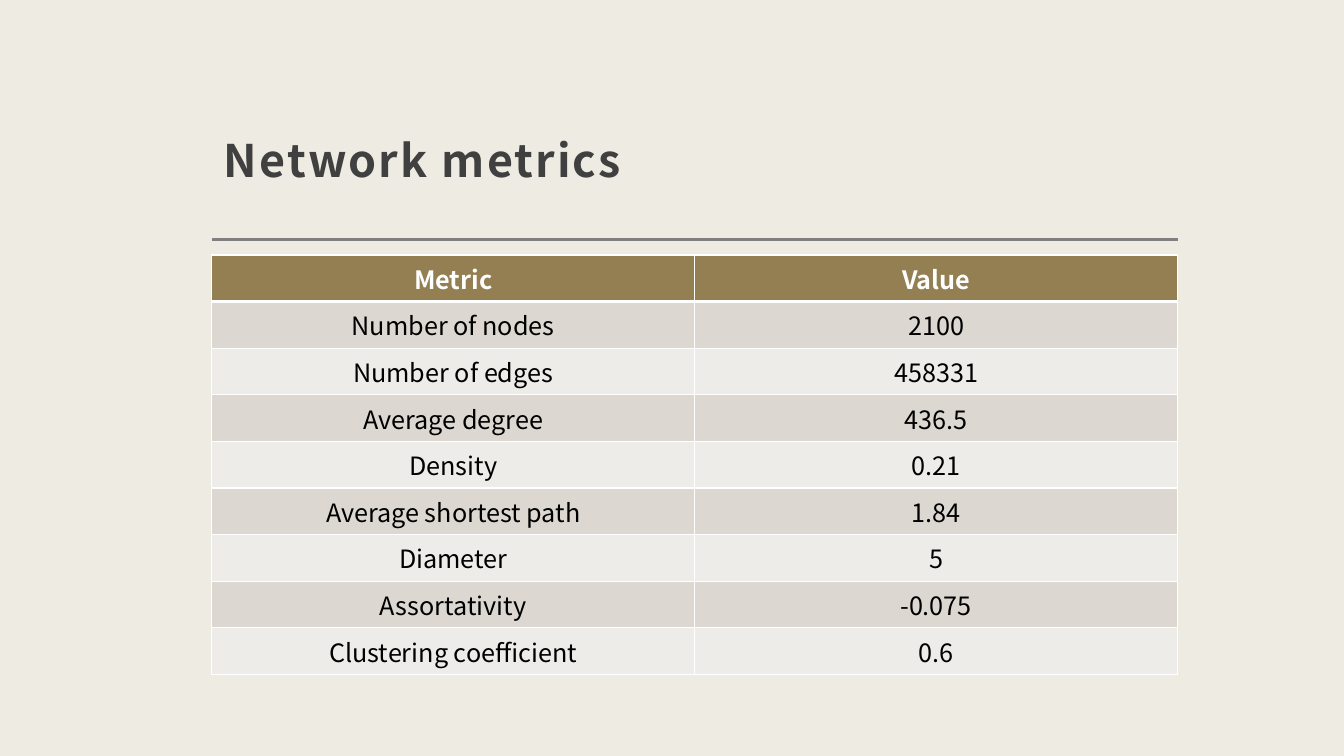
import pptx
import pptx.dml.color
import pptx.enum.shapes
import pptx.enum.text
import pptx.oxml.ns
import pptx.util
from lxml import etree

RGBColor = pptx.dml.color.RGBColor
Inches = pptx.util.Inches
Pt = pptx.util.Pt
qn = pptx.oxml.ns.qn

FONT = "Noto Sans CJK JP"
BACKGROUND = RGBColor(0xEE, 0xEB, 0xE2)
TITLE = RGBColor(0x40, 0x40, 0x40)
RULE = RGBColor(0x80, 0x80, 0x80)
HEADER = RGBColor(0x94, 0x7F, 0x53)
BAND_DARK = RGBColor(0xDC, 0xD8, 0xD1)
BAND_LIGHT = RGBColor(0xEE, 0xEC, 0xE9)
WHITE = RGBColor(0xFF, 0xFF, 0xFF)
BLACK = RGBColor(0x00, 0x00, 0x00)

LEFT, WIDTH = 2.1, 9.58
TABLE_HEIGHT = 4.16
METRICS = [
    ("Metric", "Value"),
    ("Number of nodes", "2100"),
    ("Number of edges", "458331"),
    ("Average degree", "436.5"),
    ("Density", "0.21"),
    ("Average shortest path", "1.84"),
    ("Diameter", "5"),
    ("Assortativity", "-0.075"),
    ("Clustering coefficient", "0.6"),
]


def add_border(cell, side, width):
    ln = etree.SubElement(cell._tc.get_or_add_tcPr(), qn(f"a:ln{side}"), w=str(Pt(width)))
    fill = etree.SubElement(ln, qn("a:solidFill"))
    etree.SubElement(fill, qn("a:srgbClr"), val=str(WHITE))


prs = pptx.Presentation()
prs.slide_width, prs.slide_height = Inches(13.33), Inches(7.5)
s = prs.slides.add_slide(prs.slide_layouts[6])
s.background.fill.solid()
s.background.fill.fore_color.rgb = BACKGROUND

# Rule under the title
rule = s.shapes.add_connector(pptx.enum.shapes.MSO_CONNECTOR.STRAIGHT,
                              Inches(LEFT), Inches(2.38), Inches(LEFT + WIDTH), Inches(2.38))
rule.line.color.rgb = RULE
rule.line.width = Pt(2)
etree.SubElement(rule._element.spPr, qn("a:effectLst"))

# Title
sp = s.shapes.add_textbox(Inches(LEFT), Inches(0.48), Inches(WIDTH), Inches(1.47))
tf = sp.text_frame
tf.word_wrap = True
tf.vertical_anchor = pptx.enum.text.MSO_ANCHOR.BOTTOM
tf.margin_left = tf.margin_right = tf.margin_top = Inches(0.12)
tf.margin_bottom = Inches(0.1)
p = tf.paragraphs[0]
p.line_spacing = 1.3
r = p.add_run()
r.text = "Network metrics"
r.font.name, r.font.size, r.font.bold = FONT, Pt(32), True
r.font.color.rgb = TITLE
r.font._element.set("spc", "150")

# Metrics table
table = s.shapes.add_table(len(METRICS), 2, Inches(LEFT), Inches(2.53),
                           Inches(WIDTH), Inches(TABLE_HEIGHT)).table
for i, texts in enumerate(METRICS):
    is_header = i == 0
    for j, text in enumerate(texts):
        cell = table.cell(i, j)
        cell.text = text
        cell.vertical_anchor = pptx.enum.text.MSO_ANCHOR.MIDDLE
        for side in "LRTB":
            # A heavier line closes the header
            add_border(cell, side, 3 if is_header and side == "B" else 1)
        cell.fill.solid()
        cell.fill.fore_color.rgb = HEADER if is_header else BAND_DARK if i % 2 else BAND_LIGHT
        p = cell.text_frame.paragraphs[0]
        p.alignment = pptx.enum.text.PP_ALIGN.CENTER
        p.font.name, p.font.size, p.font.bold = FONT, Pt(18), is_header
        p.font.color.rgb = WHITE if is_header else BLACK

prs.save("out.pptx")
